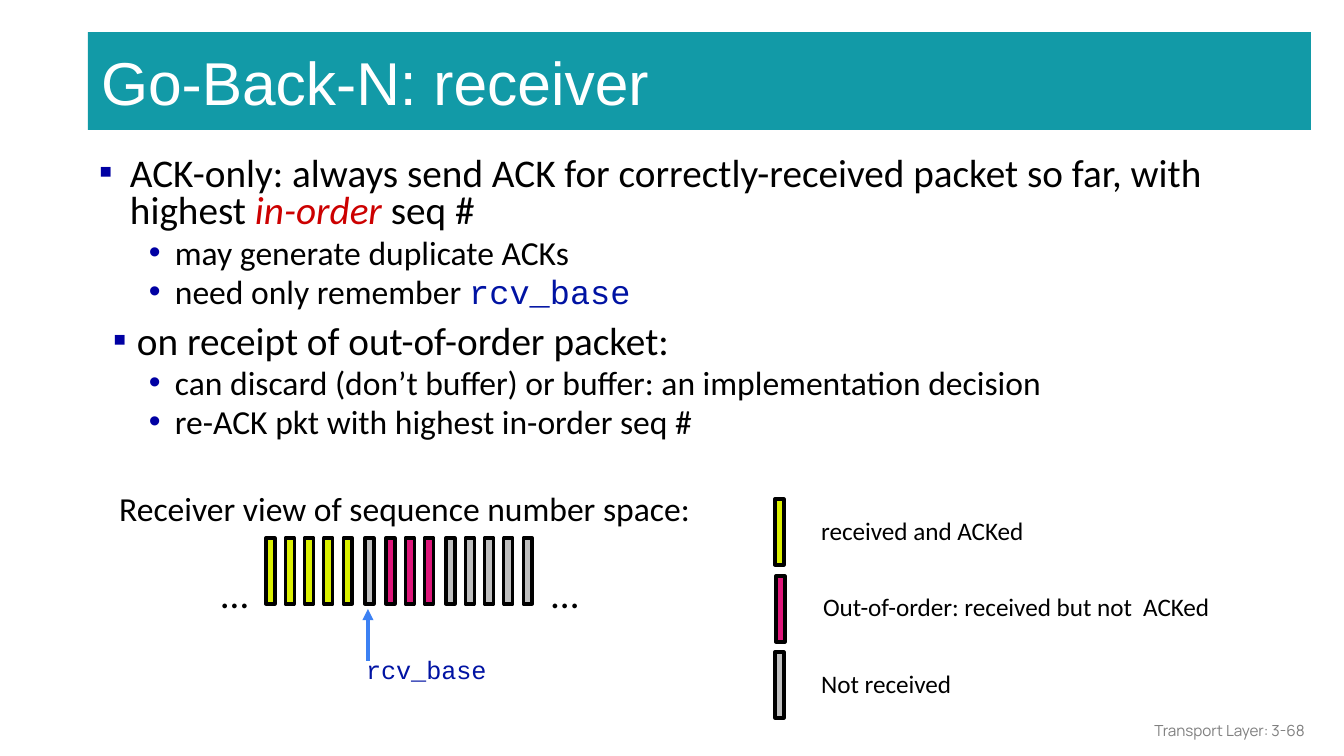
from dataclasses import dataclass

import pptx
import pptx.dml.color
import pptx.enum.shapes
import pptx.enum.text
import pptx.oxml
import pptx.oxml.ns
import pptx.util
from lxml import etree

RGBColor = pptx.dml.color.RGBColor
Pt = pptx.util.Pt
PP_ALIGN = pptx.enum.text.PP_ALIGN
MSO_ANCHOR = pptx.enum.text.MSO_ANCHOR
MSO_SHAPE = pptx.enum.shapes.MSO_SHAPE
qn = pptx.oxml.ns.qn

TEAL = RGBColor(0x12, 0x9A, 0xA7)
WHITE = RGBColor(0xFF, 0xFF, 0xFF)
BLACK = RGBColor(0, 0, 0)
GREY = RGBColor(0x80, 0x80, 0x80)
RED = RGBColor(0xCC, 0, 0)
CODE_BLUE = RGBColor(0, 0x13, 0xA3)
BULLET_BLUE = RGBColor(0, 0, 0xA3)
ARROW_BLUE = RGBColor(0x3C, 0x81, 0xF3)
ACKED = RGBColor(0xDB, 0xF0, 0)
OUT_OF_ORDER = RGBColor(0xDF, 0x16, 0x7A)
MISSING = RGBColor(0xBF, 0xBF, 0xBF)

EMU_PER_PX = 914400 / 134.4
BAR_WIDTH, BAR_HEIGHT, BAR_TOP = 9, 66, 538
BAR_PITCH = 19.3


@dataclass(frozen=True)
class Run:
    text: str
    color: RGBColor = BLACK
    font: str = "Calibri"
    italic: bool = False


@dataclass(frozen=True)
class Level:
    depth: int
    size: float
    bullet: str
    margin: int
    hanging: int
    before: float


@dataclass(frozen=True)
class Point:
    level: Level
    runs: tuple[Run, ...]


@dataclass(frozen=True)
class Label:
    box: tuple[int, int, int, int]
    run: Run
    size: float


@dataclass(frozen=True)
class Packets:
    left: int
    count: int
    color: RGBColor


@dataclass(frozen=True)
class Key:
    left: int
    top: int
    color: RGBColor


FIRST = Level(0, 21, "▪", 32, 31, 0)
MAIN = Level(0, 21, "▪", 39, 24, 7.5)
SUB = Level(1, 18, "•", 77, 26, 3.8)

POINTS = (
    Point(FIRST, (
        Run("ACK-only: always send ACK for correctly-received packet so far, with highest "),
        Run("in-order", RED, italic=True),
        Run(" seq #"),
    )),
    Point(SUB, (Run("may generate duplicate ACKs"),)),
    Point(SUB, (Run("need only remember "), Run("rcv_base", CODE_BLUE, "Courier New"))),
    Point(MAIN, (Run("on receipt of out-of-order packet:"),)),
    Point(SUB, (Run("can discard (don’t buffer) or buffer: an implementation decision"),)),
    Point(SUB, (Run("re-ACK pkt with highest in-order seq #"),)),
)
SEQUENCE = (
    Packets(266, 5, ACKED),
    Packets(365, 1, MISSING),
    Packets(386, 3, OUT_OF_ORDER),
    Packets(446, 5, MISSING),
)
KEYS = (Key(775, 499, ACKED), Key(776, 576, OUT_OF_ORDER), Key(775, 652, MISSING))
LABELS = (
    Label((106, 481, 606, 54), Run("Receiver view of sequence number space:"), 18),
    Label((208, 563, 55, 60), Run("…"), 21),
    Label((538, 563, 55, 60), Run("…"), 21),
    Label((353, 648, 149, 44), Run("rcv_base", CODE_BLUE, "Courier New"), 13.5),
    Label((808, 509, 233, 44), Run("received and ACKed"), 13.5),
    Label((810, 585, 421, 44), Run("Out-of-order: received but not  ACKed"), 13.5),
    Label((808, 662, 160, 44), Run("Not received"), 13.5),
)


def px(length: float) -> int:
    return round(length * EMU_PER_PX)


def apply(target: object, formats: dict) -> None:
    for attribute, value in formats.items():
        setattr(target, attribute, value)


def add_run(paragraph, run: Run, size: float) -> None:
    part = paragraph.add_run()
    part.text = run.text
    apply(part.font, {"name": run.font, "size": Pt(size), "italic": run.italic})
    part.font.color.rgb = run.color


def add_box(slide, box: tuple[int, int, int, int], formats: dict):
    frame = slide.shapes.add_textbox(*map(px, box)).text_frame
    apply(frame, formats)
    return frame


def add_bullet(paragraph, level: Level) -> None:
    properties = paragraph._p.get_or_add_pPr()
    properties.set("marL", str(px(level.margin)))
    properties.set("indent", str(-px(level.hanging)))
    color = etree.SubElement(properties, qn("a:buClr"))
    etree.SubElement(color, qn("a:srgbClr"), val=str(BULLET_BLUE))
    etree.SubElement(properties, qn("a:buFont"), typeface="Arial")
    etree.SubElement(properties, qn("a:buChar"), char=level.bullet)


def add_points(slide, points: tuple[Point, ...]) -> None:
    body = add_box(slide, (89, 152, 1137, 314), {
        "word_wrap": True,
        "margin_left": px(9), "margin_right": px(9),
        "margin_top": px(5), "margin_bottom": px(5),
    })
    for index, point in enumerate(points):
        paragraph = body.add_paragraph() if index else body.paragraphs[0]
        add_bullet(paragraph, point.level)
        apply(paragraph, {
            "level": point.level.depth,
            "line_spacing": 0.8,
            "space_before": Pt(point.level.before),
        })
        for run in point.runs:
            add_run(paragraph, run, point.level.size)


def add_bar(slide, left: float, top: int, color: RGBColor) -> None:
    bar = slide.shapes.add_shape(
        MSO_SHAPE.RECTANGLE, px(left), px(top), px(BAR_WIDTH), px(BAR_HEIGHT))
    bar.shadow.inherit = False
    bar.fill.solid()
    bar.fill.fore_color.rgb = color
    bar.line.color.rgb = BLACK
    bar.line.width = Pt(1.75)


def add_arrow(slide, x: int, start: int, end: int) -> None:
    arrow = slide.shapes.add_connector(
        pptx.enum.shapes.MSO_CONNECTOR.STRAIGHT, px(x), px(start), px(x), px(end))
    arrow.line.color.rgb = ARROW_BLUE
    arrow.line.width = Pt(1.75)
    etree.SubElement(arrow.line._get_or_add_ln(), qn("a:tailEnd"), type="triangle")
    etree.SubElement(arrow._element.spPr, qn("a:effectLst"))


def add_title(slide, text: str) -> None:
    title = slide.shapes.title
    apply(title, {"left": px(88), "top": px(32), "width": px(1223), "height": px(98)})
    title.fill.solid()
    title.fill.fore_color.rgb = TEAL
    apply(title.text_frame, {
        "margin_left": px(13), "margin_right": px(13),
        "margin_top": px(13), "margin_bottom": px(13),
        "vertical_anchor": MSO_ANCHOR.MIDDLE,
        "auto_size": pptx.enum.text.MSO_AUTO_SIZE.NONE,
    })
    heading = title.text_frame.paragraphs[0]
    heading.alignment = PP_ALIGN.LEFT
    add_run(heading, Run(text, WHITE, "Arial"), 32.4)


def main() -> None:
    deck = pptx.Presentation()
    apply(deck, {"slide_width": px(1344), "slide_height": px(756)})
    slide = deck.slides.add_slide(deck.slide_layouts.get_by_name("Title Only"))
    add_title(slide, "Go-Back-N: receiver")
    add_points(slide, POINTS)
    for packets in SEQUENCE:
        for index in range(packets.count):
            add_bar(slide, packets.left + index * BAR_PITCH, BAR_TOP, packets.color)
    for key in KEYS:
        add_bar(slide, key.left, key.top, key.color)
    for label in LABELS:
        frame = add_box(slide, label.box, {"word_wrap": False})
        add_run(frame.paragraphs[0], label.run, label.size)
    add_arrow(slide, 368, 661, 609)
    footer = add_box(slide, (1016, 710, 302, 40), {
        "word_wrap": True, "vertical_anchor": MSO_ANCHOR.MIDDLE})
    footer.paragraphs[0].alignment = PP_ALIGN.RIGHT
    add_run(footer.paragraphs[0], Run("Transport Layer: 3-68", GREY, "Manrope"), 8.2)
    deck.save("out.pptx")


if __name__ == "__main__":
    main()
